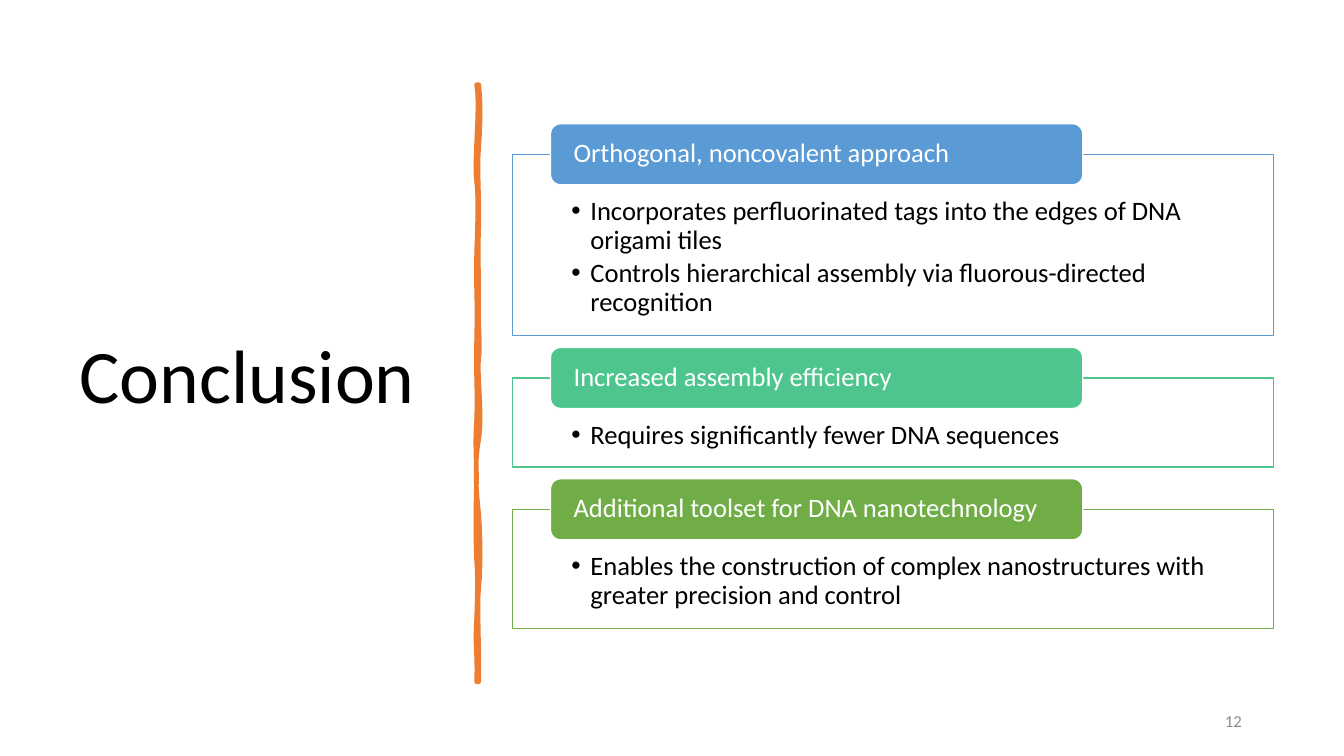
from lxml import etree
from pptx import Presentation
from pptx.dml.color import RGBColor
from pptx.enum import shapes, text
from pptx.oxml.ns import qn
from pptx.util import Pt

# Content
TITLE = "Conclusion"
PAGE = "12"
CARDS = [  # heading, colour, box height, points
    ("Orthogonal, noncovalent approach", "5B9BD5", 129.6, [
        "Incorporates perfluorinated tags into the edges of DNA origami tiles",
        "Controls hierarchical assembly via fluorous-directed recognition"]),
    ("Increased assembly efficiency", "4DC58D", 63.6, [
        "Requires significantly fewer DNA sequences"]),
    ("Additional toolset for DNA nanotechnology", "70AD47", 85, [
        "Enables the construction of complex nanostructures with "
        "greater precision and control"]),
]

# Hand-drawn divider: each curve is (bulge, y, bulge, y, end y) along one edge
DIVIDER_COLOR, DIVIDER_TOP, DIVIDER_BOTTOM = "ED7D31", 60.5, 487
RIGHT_EDGE, LEFT_EDGE = 342, 340.5
DOWN_CURVES = [
    (1.4, 73, 1.4, 86, 105), (-1.4, 125, 0.7, 140, 163),
    (-0.7, 185, 0, 189, 212), (-0.7, 234, 1.4, 246, 256),
    (-1.4, 266, 2.9, 298, 314), (-2.9, 329, -2.2, 348, 367),
    (1.4, 386, 1.4, 406, 420), (-1.4, 434, 0.7, 468, DIVIDER_BOTTOM)]
UP_CURVES = [
    (0.7, 465, -1.4, 464, 441), (0.7, 420, 0.7, 410, 401),
    (-0.7, 392, -0.7, 356, 343), (0, 330, -1.4, 320, 299),
    (0.7, 278, -0.7, 269, 241), (0.7, 215, -0.7, 202, 180),
    (0.7, 157, 1.4, 144, 130), (-2.2, 117, 2.9, 75, DIVIDER_TOP)]

# Layout, in points
CARD_LEFT, CARD_TOP, CARD_WIDTH, CARD_GAP = 366, 110.2, 543.6, 30.2
TAB_LEFT, TAB_WIDTH, TAB_HEIGHT = 393.2, 380.2, 43.7
BODY_SIZE, BULLET_INDENT = 19, 13.5

deck = Presentation()
deck.slide_width, deck.slide_height = Pt(960), Pt(540)
slide = deck.slides.add_slide(deck.slide_layouts[6])


def rgb(color):
    return RGBColor.from_string(color)


def paint(shape, fill, line, width):
    shape.shadow.inherit = False
    shape.fill.solid()
    shape.fill.fore_color.rgb = rgb(fill)
    shape.line.color.rgb = rgb(line)
    shape.line.width = Pt(width)


def write(shape, lines, size, color, anchor="MIDDLE", align="LEFT",
          insets=(7.2, 3.6, 7.2, 3.6), spacing=0.9, after=0):
    frame = shape.text_frame
    left, top, right, bottom = map(Pt, insets)
    frame_format = {
        "word_wrap": True, "vertical_anchor": text.MSO_ANCHOR[anchor],
        "margin_left": left, "margin_top": top,
        "margin_right": right, "margin_bottom": bottom}
    for key, value in frame_format.items():
        setattr(frame, key, value)
    for number, line in enumerate(lines):
        paragraph = frame.add_paragraph() if number else frame.paragraphs[0]
        paragraph.text = line
        paragraph_format = {"alignment": text.PP_ALIGN[align],
                            "line_spacing": spacing, "space_after": Pt(after)}
        for key, value in paragraph_format.items():
            setattr(paragraph, key, value)
        font = paragraph.runs[0].font
        font.name, font.size, font.color.rgb = "Calibri", Pt(size), rgb(color)
    return frame


def add_label(box, line, size, color, **options):
    label = slide.shapes.add_textbox(*map(Pt, box))
    write(label, [line], size, color, **options)


def add_bullet(paragraph):
    props = paragraph._p.get_or_add_pPr()
    props.set("marL", str(Pt(BULLET_INDENT)))
    props.set("indent", str(-Pt(BULLET_INDENT)))
    etree.SubElement(props, qn("a:buFont")).set("typeface", "Arial")
    etree.SubElement(props, qn("a:buChar")).set("char", "•")


def trace(edge, start, curves, steps=8):
    """Points along a chain of cubic curves that hangs on one vertical edge."""
    points = [(edge, start)]
    for bulge1, y1, bulge2, y2, end in curves:
        for step in range(1, steps + 1):
            t = step / steps
            s = 1 - t
            b0, b1, b2, b3 = s**3, 3 * s * s * t, 3 * s * t * t, t**3
            points.append((edge + b1 * bulge1 + b2 * bulge2,
                           b0 * start + b1 * y1 + b2 * y2 + b3 * end))
        start = end
    return points


# Title
add_label((49.7, 50.4, 269.3, 440), TITLE, 54, "000000")

# Divider
outline = [(Pt(x), Pt(y)) for x, y in
           trace(RIGHT_EDGE, DIVIDER_TOP, DOWN_CURVES)
           + trace(LEFT_EDGE, DIVIDER_BOTTOM, UP_CURVES)]
builder = slide.shapes.build_freeform(*outline[0])
builder.add_line_segments(outline[1:], close=True)
divider = builder.convert_to_shape()
paint(divider, DIVIDER_COLOR, DIVIDER_COLOR, 3.25)
etree.SubElement(divider.line._get_or_add_ln(), qn("a:round"))

# Page number
add_label((678.2, 500.4, 216, 28.8), PAGE, 12, "8C8C8C",
          align="RIGHT", spacing=1.0)

# Cards: a framed list with a heading tab across its top edge
top = CARD_TOP
for heading, color, height, points in CARDS:
    body = slide.shapes.add_shape(
        shapes.MSO_SHAPE.RECTANGLE,
        *map(Pt, (CARD_LEFT, top, CARD_WIDTH, height)))
    paint(body, "FFFFFF", color, 1)
    white = body._element.spPr.find(qn("a:solidFill"))[0]
    etree.SubElement(white, qn("a:alpha")).set("val", "90000")
    frame = write(body, points, BODY_SIZE, "000000", anchor="TOP",
                  insets=(42.2, 31, 42.2, 10.6), after=3)
    for paragraph in frame.paragraphs:
        add_bullet(paragraph)

    tab = slide.shapes.add_shape(
        shapes.MSO_SHAPE.ROUNDED_RECTANGLE,
        *map(Pt, (TAB_LEFT, top - TAB_HEIGHT / 2, TAB_WIDTH, TAB_HEIGHT)))
    paint(tab, color, "FFFFFF", 1)
    write(tab, [heading], BODY_SIZE, "FFFFFF", insets=(14.4, 0, 14.4, 0))
    top += height + CARD_GAP

deck.save("out.pptx")
